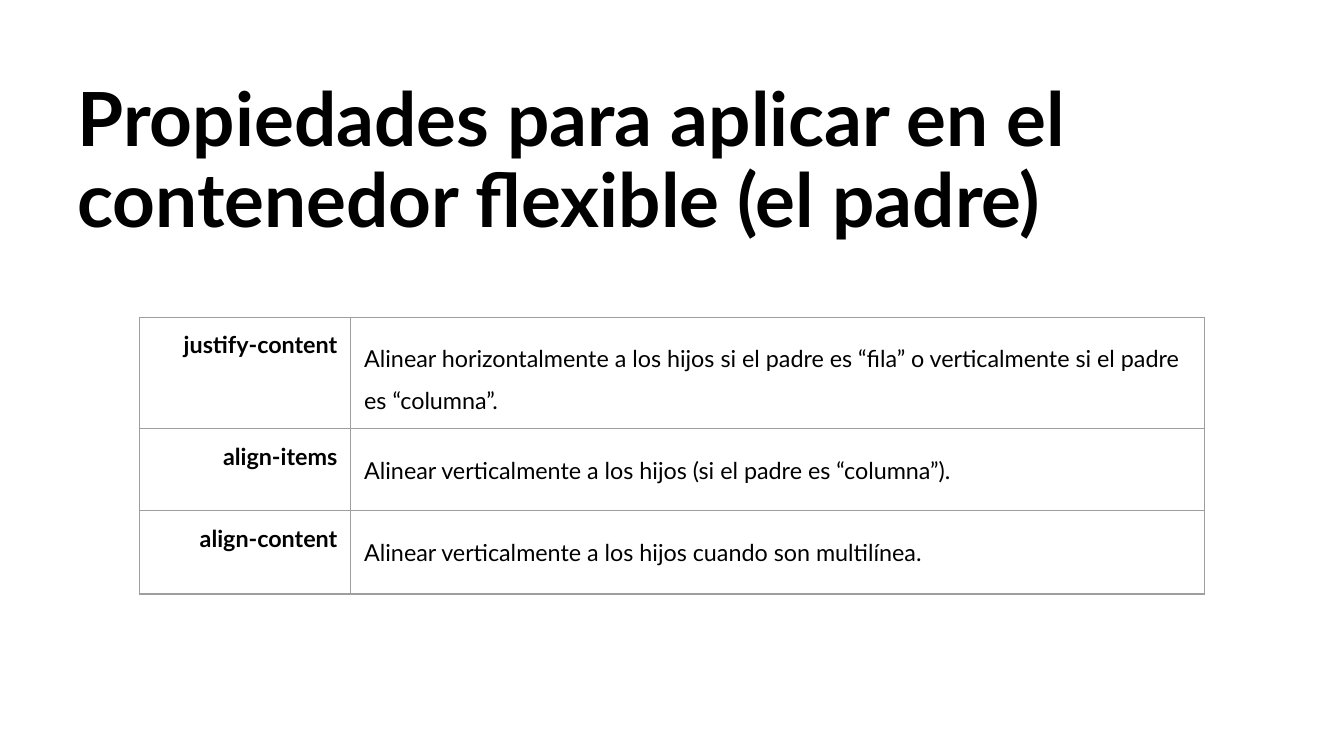
from lxml.etree import SubElement
from pptx import Presentation
from pptx.dml.color import RGBColor
from pptx.enum.text import MSO_ANCHOR, PP_ALIGN
from pptx.oxml.ns import qn
from pptx.util import Inches, Pt

COLORS = {"text": "000000", "border": "9E9E9E"}
PROPERTIES = [
    ("justify-content", "Alinear horizontalmente a los hijos si el padre es “fila” "
                        "o verticalmente si el padre es “columna”."),
    ("align-items", "Alinear verticalmente a los hijos (si el padre es “columna”)."),
    ("align-content", "Alinear verticalmente a los hijos cuando son multilínea."),
]


def write(frame, text, size=12.5, bold=False, align=PP_ALIGN.LEFT, spacing=1.0):
    paragraph = frame.paragraphs[0]
    paragraph.alignment = align
    paragraph.line_spacing = spacing
    run = paragraph.add_run()
    run.text = text
    run.font.name = "Lato"
    run.font.size = Pt(size)
    run.font.bold = bold
    run.font.color.rgb = RGBColor.from_string(COLORS["text"])


class SlideBuilder:
    """Draws styled elements on the current slide."""

    margin = Inches(0.1)
    border_width = Pt(0.75)

    def __init__(self, slide):
        self.slide = slide

    def pad(self, box):
        box.margin_left = box.margin_right = self.margin
        box.margin_top = box.margin_bottom = self.margin
        box.vertical_anchor = MSO_ANCHOR.TOP

    def title(self, text, left, top, width, height):
        frame = self.slide.shapes.add_textbox(
            Inches(left), Inches(top), Inches(width), Inches(height)).text_frame
        frame.word_wrap = True
        self.pad(frame)
        write(frame, text, size=40, bold=True, spacing=0.9)

    def cell(self, cell, text, **style):
        self.pad(cell)
        write(cell.text_frame, text, **style)
        properties = cell._tc.get_or_add_tcPr()
        for side in ("a:lnL", "a:lnR", "a:lnT", "a:lnB"):
            border = SubElement(properties, qn(side), w=str(self.border_width))
            fill = SubElement(border, qn("a:solidFill"))
            SubElement(fill, qn("a:srgbClr"), val=COLORS["border"])
        cell.fill.background()

    def table(self, rows, left, top, widths, heights):
        table = self.slide.shapes.add_table(
            len(rows), len(widths), Inches(left), Inches(top),
            Inches(sum(widths)), Inches(sum(heights))).table
        table.first_row = table.horz_banding = False
        for column, width in zip(table.columns, widths):
            column.width = Inches(width)
        for index, (name, description) in enumerate(rows):
            table.rows[index].height = Inches(heights[index])
            self.cell(table.cell(index, 0), name, bold=True, align=PP_ALIGN.RIGHT)
            self.cell(table.cell(index, 1), description, spacing=1.5)


def main():
    deck = Presentation()
    deck.slide_width = Inches(10)
    deck.slide_height = deck.slide_width * 9 // 16
    builder = SlideBuilder(deck.slides.add_slide(deck.slide_layouts[6]))
    builder.title("Propiedades para aplicar en el contenedor flexible (el padre)",
                  0.48, 0.51, 8.9, 1.41)
    builder.table(PROPERTIES, 1.04, 2.36, (1.57, 6.35), (0.83, 0.61, 0.62))
    deck.save("out.pptx")


if __name__ == "__main__":
    main()
